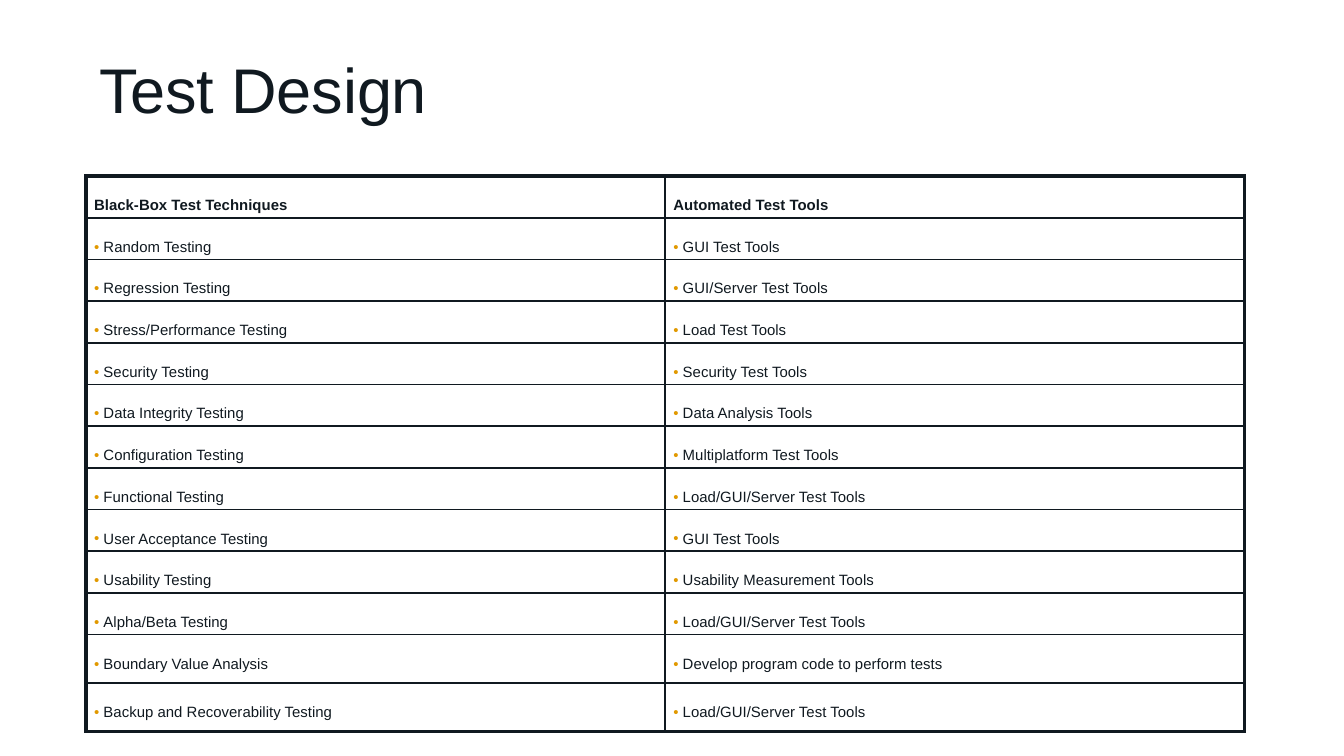
from pptx import Presentation
from pptx.dml.color import RGBColor
from pptx.enum.text import MSO_ANCHOR
from pptx.oxml.ns import qn
from pptx.util import Inches, Pt
from lxml.etree import SubElement

COLORS = {"ink": "101920", "bullet": "E19900"}
FONT = "Arial"
TITLE = "Test Design"
ROWS = [
    ("Black-Box Test Techniques", "Automated Test Tools"),
    ("Random Testing", "GUI Test Tools"),
    ("Regression Testing", "GUI/Server Test Tools"),
    ("Stress/Performance Testing", "Load Test Tools"),
    ("Security Testing", "Security Test Tools"),
    ("Data Integrity Testing", "Data Analysis Tools"),
    ("Configuration Testing", "Multiplatform Test Tools"),
    ("Functional Testing", "Load/GUI/Server Test Tools"),
    ("User Acceptance Testing", "GUI Test Tools"),
    ("Usability Testing", "Usability Measurement Tools"),
    ("Alpha/Beta Testing", "Load/GUI/Server Test Tools"),
    ("Boundary Value Analysis", "Develop program code to perform tests"),
    ("Backup and Recoverability Testing", "Load/GUI/Server Test Tools"),
]
HEIGHTS = [0.23] * 11 + [0.36] * 2
SLIDE_WIDTH = 10
COLUMN_WIDTH = 4.31
THIN, THICK = 1, 2.25


def write_text(frame, text, size, line_spacing, bold=False, bulleted=False, tracking=0):
    frame.word_wrap = True
    paragraph = frame.paragraphs[0]
    paragraph.line_spacing = line_spacing
    if bulleted:
        properties = paragraph._p.get_or_add_pPr()
        properties.set("marL", str(Inches(0.07)))
        properties.set("indent", str(-Inches(0.07)))
        bullet_color = SubElement(properties, qn("a:buClr"))
        SubElement(bullet_color, qn("a:srgbClr"), val=COLORS["bullet"])
        SubElement(properties, qn("a:buFont"), typeface=FONT)
        SubElement(properties, qn("a:buChar"), char="•")
    span = paragraph.add_run()
    span.text = text
    span.font.name = FONT
    span.font.size = Pt(size)
    span.font.bold = bold
    span.font.color.rgb = RGBColor.from_string(COLORS["ink"])
    if tracking:
        span._r.get_or_add_rPr().set("spc", str(tracking))


def draw_borders(cell, widths):
    properties = cell._tc.get_or_add_tcPr()
    for side, width in widths.items():
        line = SubElement(properties, qn(f"a:ln{side}"), w=str(Pt(width)))
        fill = SubElement(line, qn("a:solidFill"))
        SubElement(fill, qn("a:srgbClr"), val=COLORS["ink"])


def add_title(page):
    box = page.shapes.add_textbox(Inches(0.64), Inches(0.36), Inches(5.59), Inches(0.67))
    box.text_frame.vertical_anchor = MSO_ANCHOR.MIDDLE
    write_text(box.text_frame, TITLE, 33.8, 0.9, tracking=-10)


def add_test_table(page):
    last_row, last_column = len(ROWS) - 1, len(ROWS[0]) - 1
    table = page.shapes.add_table(
        len(ROWS), len(ROWS[0]), Inches(0.64), Inches(1.31),
        Inches(COLUMN_WIDTH * len(ROWS[0])), Inches(sum(HEIGHTS)),
    ).table
    table.first_row = table.horz_banding = False
    for column in table.columns:
        column.width = Inches(COLUMN_WIDTH)
    for r, (texts, height) in enumerate(zip(ROWS, HEIGHTS)):
        table.rows[r].height = Inches(height)
        for c, text in enumerate(texts):
            cell = table.cell(r, c)
            cell.margin_left = cell.margin_right = Inches(0.06)
            cell.margin_top = cell.margin_bottom = Inches(0.03)
            write_text(cell.text_frame, text, 8, Pt(18), bold=r == 0, bulleted=r > 0)
            draw_borders(cell, {
                "L": THICK if c == 0 else THIN,
                "R": THICK if c == last_column else THIN,
                "T": THICK if r == 0 else THIN,
                "B": THICK if r == last_row else THIN,
            })
            cell.fill.background()


def main():
    deck = Presentation()
    deck.slide_width = Inches(SLIDE_WIDTH)
    deck.slide_height = Inches(SLIDE_WIDTH * 9 / 16)
    page = deck.slides.add_slide(deck.slide_layouts[6])
    add_title(page)
    add_test_table(page)
    deck.save("out.pptx")


if __name__ == "__main__":
    main()
